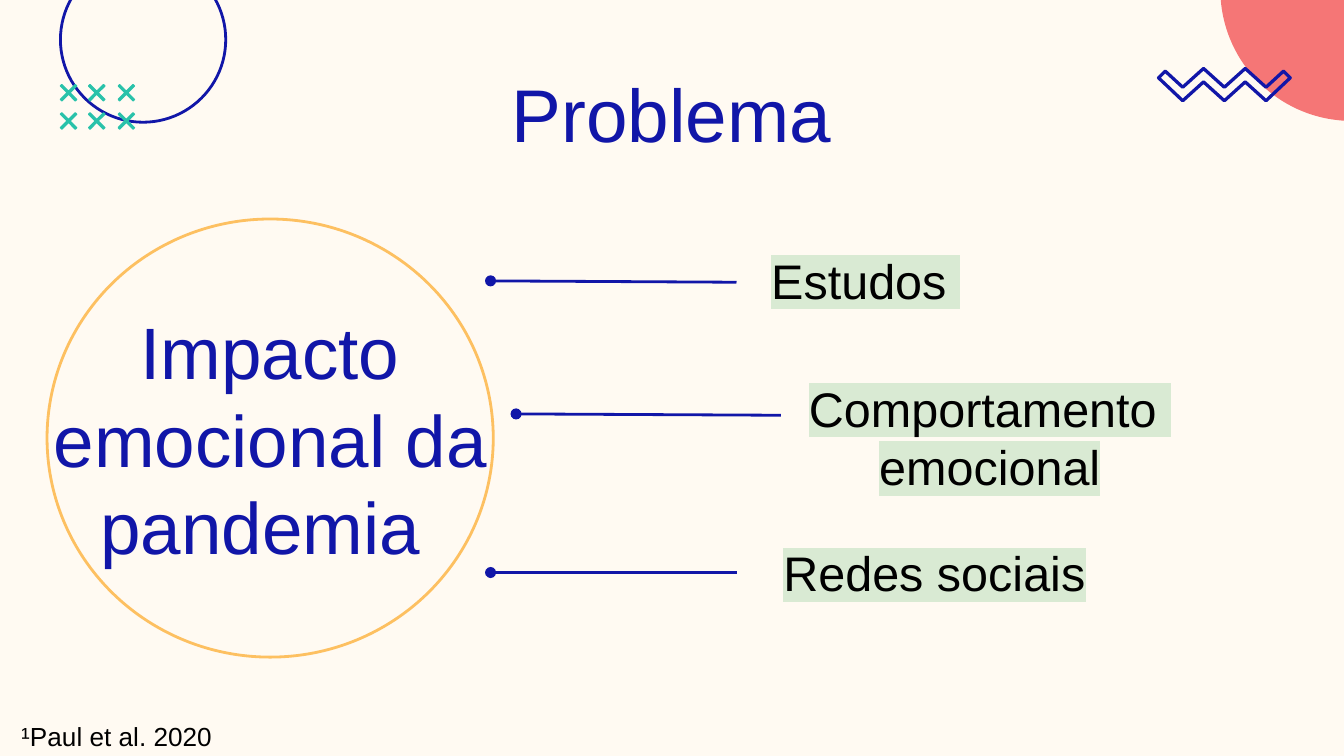
from math import cos, pi, sin

from lxml import etree
from pptx import Presentation
from pptx.dml.color import RGBColor
from pptx.enum.shapes import MSO_CONNECTOR, MSO_SHAPE
from pptx.enum.text import MSO_ANCHOR, MSO_AUTO_SIZE, PP_ALIGN
from pptx.oxml.ns import qn
from pptx.util import Inches, Pt

OVAL = MSO_SHAPE.OVAL
STRAIGHT = MSO_CONNECTOR.STRAIGHT
TOP, MIDDLE = MSO_ANCHOR.TOP, MSO_ANCHOR.MIDDLE
FIXED = MSO_AUTO_SIZE.NONE
LEFT, CENTER = PP_ALIGN.LEFT, PP_ALIGN.CENTER

FONT = "Arial"
CREAM, BLUE, TEAL = "FFFAF2", "1116A8", "29C2AA"
CORAL, AMBER, MINT, BLACK = "F57676", "FDC061", "D9EAD3", "000000"

CROSS = [(0.06, -0.05), (0.05, -0.06), (0, -0.01), (-0.05, -0.06),
         (-0.06, -0.05), (-0.01, 0), (-0.06, 0.05), (-0.05, 0.06),
         (0, 0.01), (0.05, 0.06), (0.06, 0.05), (0.01, 0)]
TOPICS = [
    (["Estudos "], (5.64, 1.87, 1.64, 0.42), LEFT),
    (["Comportamento ", "emocional"], (5.89, 3.04, 2.95, 0.42), CENTER),
    (["Redes sociais"], (5.73, 4.05, 2.54, 0.42), LEFT),
]
LINKS = [(3.65, 2.09, 5.48, 2.1), (3.84, 3.08, 5.81, 3.09),
         (3.65, 4.26, 5.48, 4.26)]


def color(code):
    return RGBColor.from_string(code)


def paint(shape, fill=None, line=None, width=0.75):
    shape.shadow.inherit = False
    if fill:
        shape.fill.solid()
        shape.fill.fore_color.rgb = color(fill)
    else:
        shape.fill.background()
    if line:
        shape.line.color.rgb = color(line)
        shape.line.width = Pt(width)
    else:
        shape.line.fill.background()


def add_ring(slide, box, line):
    ring = slide.shapes.add_shape(OVAL, *map(Inches, box))
    paint(ring, line=line, width=1.5)


def add_outline(slide, points, **style):
    spots = [(Inches(x), Inches(y)) for x, y in points]
    pen = slide.shapes.build_freeform(*spots[0], scale=1.0)
    pen.add_line_segments(spots[1:], close=True)
    paint(pen.convert_to_shape(), **style)


def add_link(slide, ends):
    link = slide.shapes.add_connector(STRAIGHT, *map(Inches, ends))
    link.line.color.rgb = color(BLUE)
    link.line.width = Pt(1.5)
    border = link._element.spPr.find(qn("a:ln"))
    etree.SubElement(border, qn("a:headEnd"), type="oval")
    etree.SubElement(link._element.spPr, qn("a:effectLst"))


def mark(run, code):
    light = etree.Element(qn("a:highlight"))
    etree.SubElement(light, qn("a:srgbClr"), val=code)
    run._r.get_or_add_rPr().find(qn("a:latin")).addprevious(light)


def set_text(shape, box, lines, size, code, align, anchor=MIDDLE, light=None):
    shape.left, shape.top, shape.width, shape.height = map(Inches, box)
    frame = shape.text_frame
    frame.text = "\n".join(lines)
    frame.word_wrap = True
    frame.auto_size = FIXED
    frame.vertical_anchor = anchor
    frame.margin_left = frame.margin_right = Inches(0.1)
    frame.margin_top = frame.margin_bottom = Inches(0.1)
    for item in frame.paragraphs:
        item.alignment = align
        item.line_spacing = 1.0
        for run in item.runs:
            run.font.name = FONT
            run.font.size = Pt(size)
            run.font.color.rgb = color(code)
            if light:
                mark(run, light)


def add_text(slide, box, *args, **style):
    shape = slide.shapes.add_textbox(*map(Inches, box))
    set_text(shape, box, *args, **style)


def add_decor(slide):
    add_ring(slide, (0.45, -0.32, 1.23, 1.23), BLUE)
    for y in (0.69, 0.9):
        for x in (0.51, 0.72, 0.94):
            points = [(x + dx, y + dy) for dx, dy in CROSS]
            add_outline(slide, points, fill=TEAL, line=TEAL)

    turns = [pi / 2 * (1 + step / 40) for step in range(41)]
    arc = [(10.06 + 0.98 * cos(a), -0.08 + 0.98 * sin(a)) for a in turns]
    add_outline(slide, arc + [(10.06, -0.08)], fill=CORAL)

    peaks = [(8.8 + 0.155 * i, 0.51 if i % 2 else 0.65) for i in range(5)]
    base = [(x, y + 0.1) for x, y in reversed(peaks)]
    wave = [(8.67, 0.53), *peaks, (9.55, 0.53), (9.6, 0.58), *base,
            (8.62, 0.58)]
    add_outline(slide, wave, line=BLUE, width=1.75)


def main():
    deck = Presentation()
    deck.slide_width = Inches(10)
    deck.slide_height = deck.slide_width * 9 // 16
    slide = deck.slides.add_slide(deck.slide_layouts[5])
    slide.background.fill.solid()
    slide.background.fill.fore_color.rgb = color(CREAM)

    add_decor(slide)
    set_text(slide.shapes.title, (1.55, 0.58, 6.89, 0.52), ["Problema"],
             40, BLUE, CENTER)
    for lines, box, align in TOPICS:
        add_text(slide, box, lines, 26, BLACK, align, light=MINT)
    add_ring(slide, (0.35, 1.63, 3.32, 3.26), AMBER)
    for ends in LINKS:
        add_link(slide, ends)
    add_text(slide, (0.28, 3, 3.46, 0.52), ["Impacto emocional da pandemia "],
             39, BLUE, CENTER)
    add_text(slide, (0.06, 5.26, 6.03, 0.44), ["¹Paul et al. 2020"],
             14, BLACK, LEFT, anchor=TOP)
    deck.save("out.pptx")


if __name__ == "__main__":
    main()
